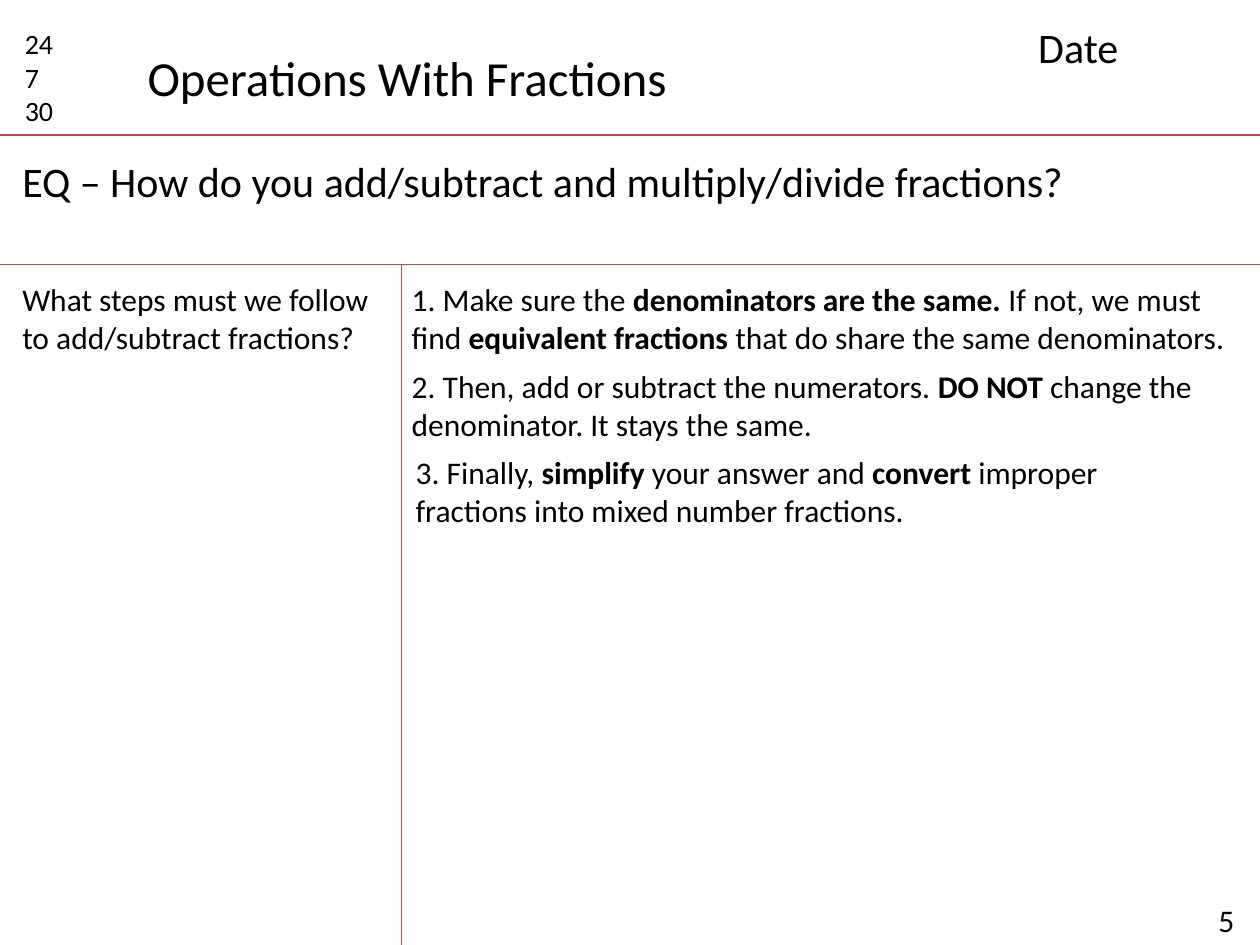
from lxml import etree
from pptx import Presentation
from pptx import util as u
from pptx.dml import color as c
from pptx.enum import shapes, text
from pptx.oxml import ns

COLORS = {"ink": "000000", "rule": "BF4C48"}
FONT = "Calibri"


def write(sp, paragraphs, size, wrap=True):
    """Fill a shape with paragraphs, each a list of (text, bold) runs."""
    tf = sp.text_frame
    tf.word_wrap = wrap
    tf.auto_size = text.MSO_AUTO_SIZE.SHAPE_TO_FIT_TEXT
    tf.vertical_anchor = text.MSO_ANCHOR.TOP
    for i, runs in enumerate(paragraphs):
        p = tf.paragraphs[0] if i == 0 else tf.add_paragraph()
        p.alignment = text.PP_ALIGN.LEFT
        for words, bold in runs:
            r = p.add_run()
            r.text = words
            r.font.name = FONT
            r.font.size = u.Pt(size)
            r.font.bold = bold
            r.font.color.rgb = c.RGBColor.from_string(COLORS["ink"])


def add_text(s, x, y, w, h, paragraphs, size):
    """Add a wrapping text box, with lengths in centimetres."""
    sp = s.shapes.add_textbox(u.Cm(x), u.Cm(y), u.Cm(w), u.Cm(h))
    write(sp, paragraphs, size)


def add_rule(s, x1, y1, x2, y2):
    """Draw a thin ruling line, with lengths in centimetres."""
    line = s.shapes.add_connector(
        shapes.MSO_CONNECTOR.STRAIGHT, u.Cm(x1), u.Cm(y1), u.Cm(x2), u.Cm(y2))
    line.line.width = u.Pt(0.75)
    line.line.color.rgb = c.RGBColor.from_string(COLORS["rule"])
    etree.SubElement(line._element.spPr, ns.qn("a:effectLst"))


def add_header(s, x, y, w, h):
    """Place the number list, title and date above a rule."""
    numbers = [[(n, False)] for n in ("24", "7", "30")]
    add_text(s, x + 0.25, y + 0.41, 1.6, 2.31, numbers, 16)
    title = s.shapes.title
    title.left, title.top = u.Cm(x + 2.72), u.Cm(y + 0.84)
    title.width, title.height = u.Cm(11.1), u.Cm(1.45)
    write(title, [[("Operations With Fractions", False)]], 28, wrap=False)
    add_text(s, x + w - 4.72, y + 0.3, 4.4, 1.27, [[("Date", False)]], 24)
    add_rule(s, x, y + h, x + w, y + h)


def add_question(s, x, y, w, h):
    """Place the essential question above a rule."""
    question = "EQ – How do you add/subtract and multiply/divide fractions?"
    add_text(s, x + 0.2, y + 0.3, 22.6, 1.27, [[(question, False)]], 24)
    add_rule(s, x, y + h, x + w, y + h)


def add_notes(s, x, y, w, h):
    """Place the cue column, the divider, the steps and the page number."""
    cue = "What steps must we follow to add/subtract fractions?"
    add_text(s, x + 0.2, y + 0.2, 7.77, 1.8, [[(cue, False)]], 18)
    add_rule(s, x + 8.1, y, x + 8.1, y + h + 0.48)
    steps = [
        (8.05, 16.97, [
            ("1. Make sure the ", False),
            ("denominators are the same. ", True),
            ("If not, we must find ", False),
            ("equivalent fractions", True),
            (" that do share the same denominators.", False)]),
        (8.05, 16.28, [
            ("2. Then, add or subtract the numerators. ", False),
            ("DO NOT ", True),
            ("change the denominator. It stays the same.", False)]),
        (8.13, 16.28, [
            ("3. Finally, ", False),
            ("simplify", True),
            (" your answer and ", False),
            ("convert", True),
            (" improper fractions into mixed number fractions.", False)]),
    ]
    for i, (left, width, runs) in enumerate(steps):
        add_text(s, x + left, y + 0.2 + 1.74 * i, width, 1.8, [runs], 18)
    add_text(s, x + w - 1.09, y + h - 1.02, 1.52, 1.02, [[("5", False)]], 18)


def main():
    """Build the slide and save it."""
    prs = Presentation()
    prs.slide_width, prs.slide_height = u.Cm(25.4), u.Cm(19.05)
    s = prs.slides.add_slide(prs.slide_layouts[5])
    add_header(s, 0, 0, 25.4, 2.72)
    add_question(s, 0, 2.72, 25.4, 2.61)
    add_notes(s, 0, 5.33, 25.4, 13.72)
    prs.save("out.pptx")


if __name__ == "__main__":
    main()
